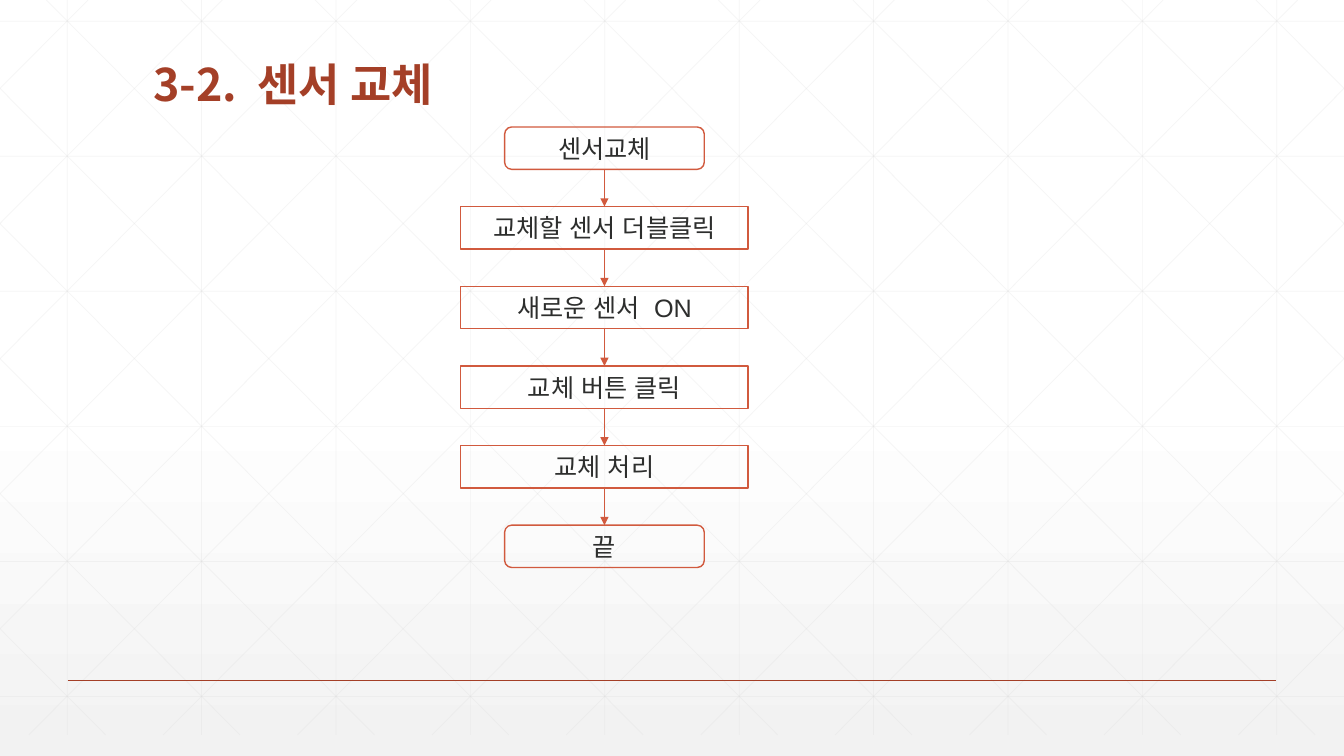
from dataclasses import dataclass
from itertools import pairwise

from lxml.etree import SubElement
from pptx import Presentation
from pptx.dml.color import RGBColor
from pptx.enum.shapes import MSO_CONNECTOR, MSO_SHAPE
from pptx.enum.text import MSO_ANCHOR, MSO_AUTO_SIZE, PP_ALIGN
from pptx.oxml.ns import qn
from pptx.util import Inches, Pt


@dataclass(frozen=True)
class Theme:
    white: str = "FFFFFF"
    mist: str = "F2F2F2"
    grid: str = "D9D9D9"
    accent: str = "A43F27"
    outline: str = "D15A3E"
    ink: str = "2D2E2D"
    title_font: str = "Noto Sans CJK KR"
    body_font: str = "Arial"
    title_size: int = 32
    body_size: int = 18
    thin: float = 0.5
    regular: float = 1


@dataclass(frozen=True)
class Box:
    left: float
    top: float
    width: float
    height: float

    def lengths(self):
        return [Inches(side) for side in (self.left, self.top, self.width, self.height)]


THEME = Theme()
SLIDE = Box(0, 0, 13.33, 7.5)
GRID_BOX = Box(0, 0, 13.33, 7.29)
TITLE_BOX = Box(1.42, 0.55, 10.5, 0.6)
FLOW_BOX = Box(4.57, 1.26, 2.85, 4.37)
STEPS = ["센서교체", "교체할 센서 더블클릭", "새로운 센서  ON", "교체 버튼 클릭", "교체 처리", "끝"]


def write_text(shape, text, *, font, size, color, bold=False,
               align=PP_ALIGN.LEFT, anchor=MSO_ANCHOR.MIDDLE, spacing=1.0):
    frame = shape.text_frame
    frame.word_wrap = True
    frame.auto_size = MSO_AUTO_SIZE.NONE
    frame.vertical_anchor = anchor
    para = frame.paragraphs[0]
    para.alignment = align
    para.line_spacing = spacing
    span = para.add_run()
    span.text = text
    span.font.name = font
    span.font.size = Pt(size)
    span.font.bold = bold
    span.font.color.rgb = RGBColor.from_string(color)
    SubElement(span.font._element, qn("a:ea"), typeface=font)


def draw_line(shapes, start, end, *, color, width, opacity=None, arrow=False):
    points = [Inches(value) for value in (*start, *end)]
    line = shapes.add_connector(MSO_CONNECTOR.STRAIGHT, *points)
    line.line.color.rgb = RGBColor.from_string(color)
    line.line.width = Pt(width)
    properties = line.element.spPr
    if opacity:
        tint = properties.find(".//" + qn("a:srgbClr"))
        SubElement(tint, qn("a:alpha"), val=str(opacity * 1000))
    if arrow:
        SubElement(properties.find(qn("a:ln")), qn("a:tailEnd"), type="triangle")
    SubElement(properties, qn("a:effectLst"))
    return line


def paint_background(page):
    fill = page.background.fill
    fill.gradient()
    fill.gradient_angle = 270
    stops = ((0.53, THEME.white), (1, THEME.mist))
    for stop, (position, color) in zip(fill.gradient_stops, stops):
        stop.position = position
        stop.color.rgb = RGBColor.from_string(color)


def draw_grid(page, box):
    column, row = box.width / 10, 1.34
    slope = row / column
    right, bottom = box.left + box.width, box.top + box.height
    lines = []
    for index in range(10):
        x = box.left + column * (index + 0.5)
        lines.append(((x, box.top), (x, bottom)))
    for index in range(6):
        y = box.top + 0.21 + row * index
        lines.append(((box.left, y), (right, y)))
    for index in range(-5, 10):
        origin = 0.46 + column * index
        ends = max(origin, 0), min(origin + box.height / slope, box.width)
        falling = [(x, box.top + (x - origin) * slope) for x in ends]
        lines.append([(box.left + x, y) for x, y in falling])
        lines.append([(right - x, y) for x, y in falling])
    group = page.shapes.add_group_shape()
    for start, end in lines:
        draw_line(group.shapes, start, end, color=THEME.grid, width=THEME.thin, opacity=25)


def draw_footer_rule(page, box):
    margin, y = 0.67, box.top + box.height - 0.75
    draw_line(page.shapes, (box.left + margin, y), (box.left + box.width - margin, y),
              color=THEME.accent, width=THEME.regular)


def place_title(page, box, text):
    title = page.shapes.title
    title.left, title.top, title.width, title.height = box.lengths()
    title.element.getparent().append(title.element)
    write_text(title, text, font=THEME.title_font, size=THEME.title_size,
               color=THEME.accent, bold=True, anchor=MSO_ANCHOR.BOTTOM, spacing=0.9)


def draw_step(page, box, text, preset):
    step = page.shapes.add_shape(preset, *box.lengths())
    step.shadow.inherit = False
    step.fill.background()
    step.line.color.rgb = RGBColor.from_string(THEME.outline)
    step.line.width = Pt(THEME.regular)
    write_text(step, text, font=THEME.body_font, size=THEME.body_size,
               color=THEME.ink, align=PP_ALIGN.CENTER)
    return step


def draw_flow(page, box, labels):
    height, terminal_width = 0.42, 1.98
    pitch = (box.height - height) / (len(labels) - 1)
    steps = []
    for index, label in enumerate(labels):
        terminal = index in (0, len(labels) - 1)
        width = terminal_width if terminal else box.width
        preset = MSO_SHAPE.FLOWCHART_ALTERNATE_PROCESS if terminal else MSO_SHAPE.RECTANGLE
        place = Box(box.left + (box.width - width) / 2, box.top + pitch * index, width, height)
        steps.append(draw_step(page, place, label, preset))
    for above, below in pairwise(steps):
        arrow = draw_line(page.shapes, (0, 0), (0, 0), color=THEME.outline,
                          width=THEME.thin, arrow=True)
        arrow.begin_connect(above, 2)
        arrow.end_connect(below, 0)


def main():
    deck = Presentation()
    deck.slide_width, deck.slide_height = Inches(SLIDE.width), Inches(SLIDE.height)
    page = deck.slides.add_slide(deck.slide_layouts[5])
    paint_background(page)
    draw_grid(page, GRID_BOX)
    draw_footer_rule(page, SLIDE)
    place_title(page, TITLE_BOX, "3-2.  센서 교체")
    draw_flow(page, FLOW_BOX, STEPS)
    deck.save("out.pptx")


if __name__ == "__main__":
    main()
